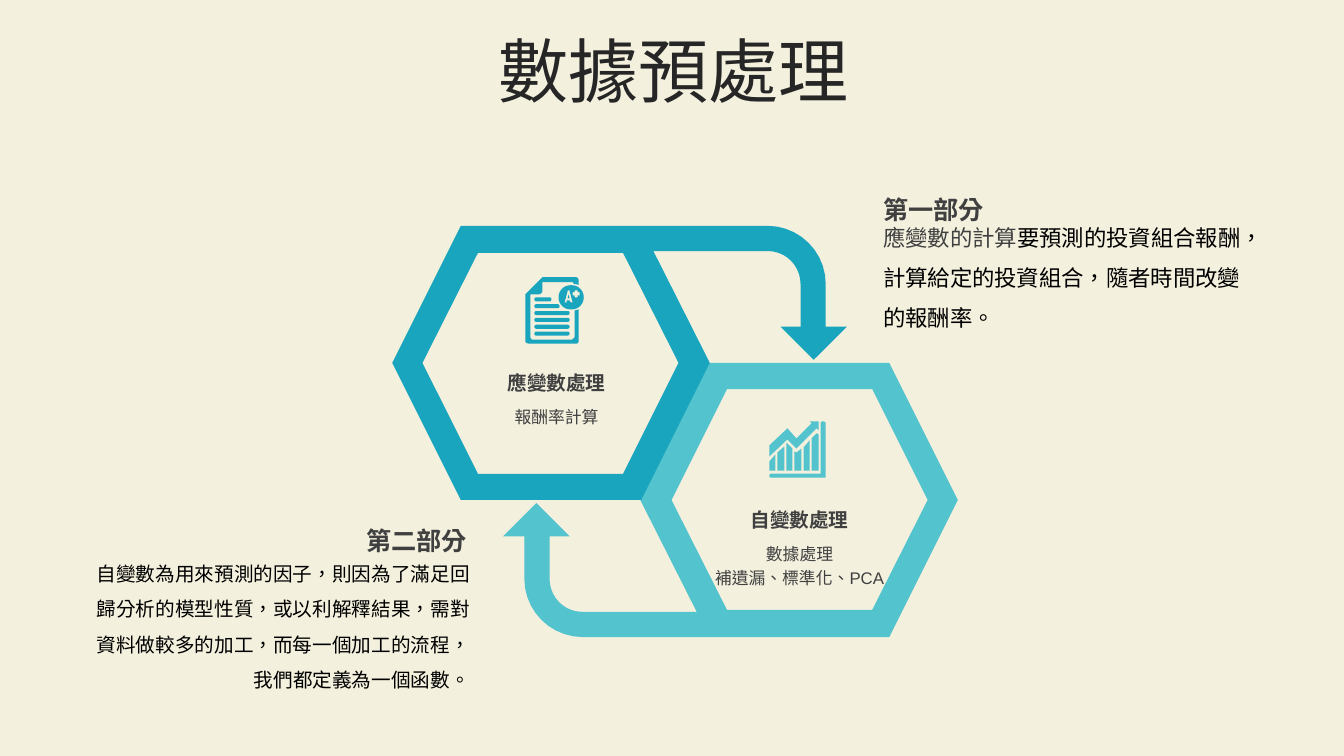
"""Build the data preprocessing slide with two interlocking hexagons."""
from dataclasses import dataclass

import pptx
import pptx.dml.color
import pptx.enum.text
import pptx.oxml.ns
import pptx.util
from lxml import etree

Inches = pptx.util.Inches
Align = pptx.enum.text.PP_ALIGN
Anchor = pptx.enum.text.MSO_ANCHOR
Outline = list[tuple[float, ...]]

CREAM, TEAL, AQUA = "F3F0DE", "19A5BE", "53C3CD"
INK, GRAY, BLACK = "262626", "404040", "000000"
CJK_FONT = "Noto Sans CJK SC"
CURVE_STEPS = 10


@dataclass
class Span:
    text: str
    size: float
    color: str = GRAY
    bold: bool = False
    font: str = "Arial"


@dataclass
class Label:
    left: float
    top: float
    width: float
    height: float
    paragraphs: list[list[Span]]
    align: Align = Align.CENTER
    spacing: float = 1.0
    anchor: Anchor = Anchor.TOP


def rgb(color: str) -> pptx.dml.color.RGBColor:
    """Turn a hex string into a colour."""
    return pptx.dml.color.RGBColor.from_string(color)


def flatten(outline: Outline) -> Outline:
    """Replace each cubic segment, given as six numbers, by short lines."""
    points = [outline[0]]
    for segment in outline[1:]:
        if len(segment) == 2:
            points.append(segment)
            continue
        x0, y0 = points[-1]
        x1, y1, x2, y2, x3, y3 = segment
        for step in range(1, CURVE_STEPS + 1):
            t = step / CURVE_STEPS
            a, b, c, d = (1 - t) ** 3, 3 * t * (1 - t) ** 2, 3 * t * t * (1 - t), t ** 3
            points.append((a * x0 + b * x1 + c * x2 + d * x3,
                           a * y0 + b * y1 + c * y2 + d * y3))
    return points


def rounded(left: float, top: float, width: float, height: float) -> Outline:
    """Outline a bar with round ends, or a circle when the sides are equal."""
    r, k = height / 2, height * 0.22
    right, bottom = left + width, top + height
    return [
        (left + r, top), (right - r, top),
        (right - k, top, right, top + k, right, top + r),
        (right, bottom - k, right - k, bottom, right - r, bottom),
        (left + r, bottom),
        (left + k, bottom, left, bottom - k, left, bottom - r),
        (left, top + k, left + k, top, left + r, top),
    ]


def add_outlines(page, outlines: list[Outline], color: str):
    """Draw closed outlines as one filled shape with holes."""
    polygons = [[(Inches(x), Inches(y)) for x, y in flatten(outline)]
                for outline in outlines]
    builder = page.shapes.build_freeform(*polygons[0][0])
    for index, points in enumerate(polygons):
        if index:
            builder.move_to(*points[0])
        builder.add_line_segments(points[1:], close=True)
    shape = builder.convert_to_shape()
    shape.shadow.inherit = False
    shape.fill.solid()
    shape.fill.fore_color.rgb = rgb(color)
    shape.line.fill.background()
    return shape


def add_label(page, label: Label) -> None:
    """Add one wrapped text box."""
    box = page.shapes.add_textbox(
        *map(Inches, (label.left, label.top, label.width, label.height)))
    frame = box.text_frame
    frame.word_wrap = True
    frame.vertical_anchor = label.anchor
    for index, spans in enumerate(label.paragraphs):
        para = frame.add_paragraph() if index else frame.paragraphs[0]
        para.alignment = label.align
        para.line_spacing = label.spacing
        if index:
            para.space_before = pptx.util.Pt(2.8)
        for span in spans:
            run = para.add_run()
            run.text = span.text
            font = run.font
            font.size, font.bold = pptx.util.Pt(span.size), span.bold
            font.color.rgb = rgb(span.color)
            font.name = span.font
            run._r.rPr.set("lang", "zh-TW")
            east_asian = etree.SubElement(run._r.rPr, pptx.oxml.ns.qn("a:ea"))
            east_asian.set("typeface", CJK_FONT)


HEXAGON_ARROW: list[Outline] = [
    [(4.74, 2.51), (4.19, 3.6), (4.74, 4.7), (6.18, 4.7), (6.73, 3.6), (6.18, 2.51)],
    [(6.28, 2.24), (7.61, 2.24), (7.93, 2.24, 8.19, 2.5, 8.19, 2.82), (8.19, 3.24),
     (8.4, 3.24), (8.07, 3.57), (7.74, 3.24), (7.94, 3.24), (7.94, 2.82),
     (7.94, 2.64, 7.8, 2.49, 7.61, 2.49), (6.48, 2.49), (7.04, 3.6), (6.36, 4.96),
     (4.57, 4.96), (3.89, 3.6), (4.57, 2.24)],
]

CHART_ICON: list[Outline] = [
    [(7.69, 4.51), (7.69, 4.67), (7.63, 4.67), (7.63, 4.58)],
    [(7.78, 4.43), (7.78, 4.67), (7.71, 4.67), (7.71, 4.49)],
    [(7.8, 4.39), (7.86, 4.45), (7.86, 4.67), (7.8, 4.67)],
    [(7.95, 4.45), (7.95, 4.67), (7.88, 4.67), (7.88, 4.48), (7.9, 4.49)],
    [(8.03, 4.37), (8.03, 4.67), (7.97, 4.67), (7.97, 4.44)],
    [(8.1, 4.3), (8.12, 4.31), (8.12, 4.67), (8.05, 4.67), (8.05, 4.35)],
    [(8.12, 4.18), (8.12, 4.27), (8.1, 4.25), (7.9, 4.45), (7.81, 4.36), (7.63, 4.53),
     (7.63, 4.42), (7.81, 4.25), (7.9, 4.35), (8.05, 4.2), (8.03, 4.18)],
    [(8.16, 4.18), (8.18, 4.18, 8.19, 4.19, 8.19, 4.2), (8.19, 4.74), (7.65, 4.74),
     (7.64, 4.74, 7.63, 4.73, 7.63, 4.72), (7.63, 4.71, 7.64, 4.7, 7.65, 4.7),
     (8.14, 4.7), (8.14, 4.2), (8.14, 4.19, 8.15, 4.18, 8.16, 4.18)],
]

TEXT_LINE_WIDTHS = [0.17, 0.25, 0.35, 0.35, 0.35, 0.35]
REPORT_ICON: list[Outline] = [
    [(5.38, 2.75), (5.71, 2.75), (5.73, 2.75, 5.74, 2.77, 5.74, 2.78), (5.74, 2.83),
     (5.73, 2.82, 5.71, 2.82, 5.69, 2.82), (5.69, 2.8, 5.68, 2.8, 5.67, 2.8),
     (5.38, 2.8), (5.38, 2.89), (5.38, 2.9, 5.36, 2.92, 5.35, 2.92), (5.26, 2.92),
     (5.26, 3.34), (5.26, 3.35, 5.27, 3.37, 5.28, 3.37), (5.67, 3.37),
     (5.68, 3.37, 5.7, 3.35, 5.7, 3.34), (5.7, 3.08),
     (5.71, 3.08, 5.73, 3.07, 5.74, 3.07), (5.74, 3.38),
     (5.74, 3.4, 5.73, 3.41, 5.71, 3.41), (5.25, 3.41),
     (5.23, 3.41, 5.21, 3.4, 5.21, 3.38), (5.21, 2.92)],
    rounded(5.54, 2.83, 0.25, 0.24),
    [(5.64, 2.88), (5.63, 2.88, 5.63, 2.89, 5.63, 2.89), (5.6, 3), (5.62, 3),
     (5.62, 2.98), (5.65, 2.98), (5.66, 3), (5.68, 3), (5.65, 2.89),
     (5.65, 2.89, 5.65, 2.88, 5.64, 2.88)],
    [(5.64, 2.92), (5.65, 2.96), (5.63, 2.96)],
    [(5.7, 2.88), (5.7, 2.9), (5.68, 2.9), (5.68, 2.93), (5.7, 2.93), (5.7, 2.95),
     (5.73, 2.95), (5.73, 2.93), (5.75, 2.93), (5.75, 2.9), (5.73, 2.9), (5.73, 2.88)],
    *(rounded(5.3, 2.95 + 0.34 * row / 5, width, 0.04)
      for row, width in enumerate(TEXT_LINE_WIDTHS)),
]

LABELS = [
    Label(0.35, 0.37, 12.66, 0.79, [[Span("數據預處理", 50, INK)]],
          spacing=0.8, anchor=Anchor.MIDDLE),
    Label(8.66, 2.04, 3.92, 1.27, [[
        Span("應變數的計算", 16, font=CJK_FONT),
        Span("要預測的投資組合報酬，計算給定的投資組合，隨者時間改變的報酬率。",
             16, BLACK, font=CJK_FONT)]], Align.LEFT, 1.5),
    Label(8.66, 1.73, 3.92, 0.56, [[Span("第一部分", 18, bold=True)]], Align.LEFT, 1.5),
    Label(0.77, 5.41, 3.99, 1.51, [[
        Span("自變數為用來預測的因子，則因為了滿足回歸分析的模型性質，或以利解釋結果，"
             "需對資料做較多的加工，而每一個加工的流程，我們都定義為一個函數。",
             14, BLACK, font=CJK_FONT)]], Align.RIGHT, 1.5),
    Label(0.77, 5.01, 3.96, 0.56, [[Span("第二部分", 18, bold=True)]], Align.RIGHT, 1.5),
    Label(4.53, 3.99, 1.98, 0.51, [[Span("報酬率計算", 12)]]),
    Label(4.53, 3.63, 1.98, 0.33, [[Span("應變數處理", 14, bold=True)]]),
    Label(6.94, 5.34, 1.98, 0.51,
          [[Span("數據處理", 12)], [Span("補遺漏、標準化、PCA", 12)]]),
    Label(6.94, 4.99, 1.98, 0.33, [[Span("自變數處理", 14, bold=True)]]),
]


def main() -> None:
    """Assemble and save the slide."""
    deck = pptx.Presentation()
    deck.slide_width, deck.slide_height = Inches(13.33), Inches(7.5)
    page = deck.slides.add_slide(deck.slide_layouts[6])
    page.background.fill.solid()
    page.background.fill.fore_color.rgb = rgb(CREAM)
    lower_arrow = add_outlines(page, HEXAGON_ARROW, AQUA)
    lower_arrow.left, lower_arrow.top = Inches(4.99), Inches(3.6)
    lower_arrow.rotation = 180
    add_outlines(page, HEXAGON_ARROW, TEAL)
    for label in LABELS:
        add_label(page, label)
    add_outlines(page, CHART_ICON, AQUA)
    add_outlines(page, REPORT_ICON, TEAL)
    deck.save("out.pptx")


if __name__ == "__main__":
    main()
